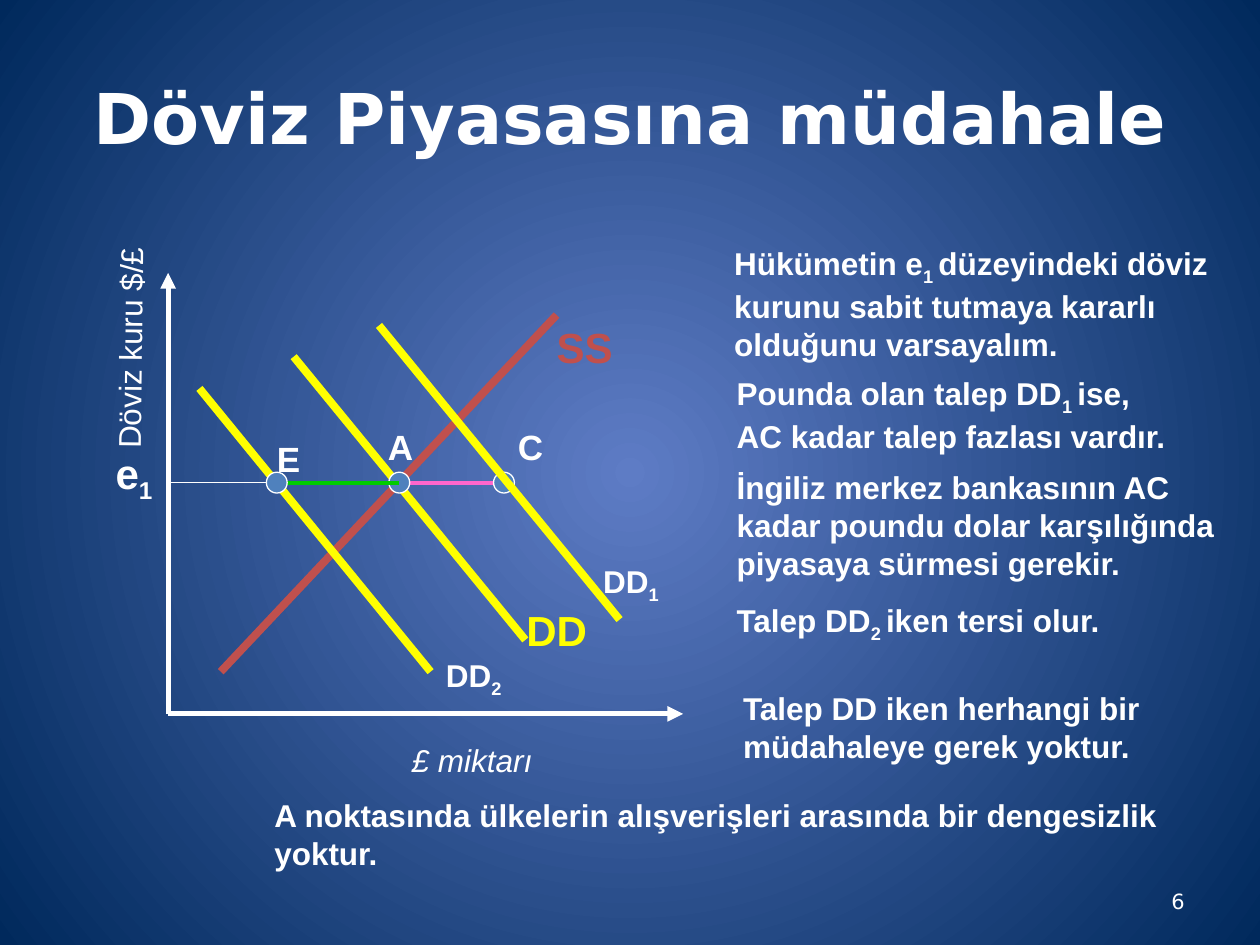
from collections import namedtuple
from dataclasses import dataclass

from lxml import etree
from pptx import Presentation
from pptx.dml.color import RGBColor
from pptx.enum.shapes import MSO_CONNECTOR, MSO_SHAPE
from pptx.enum.text import MSO_ANCHOR, MSO_AUTO_SIZE, PP_ALIGN
from pptx.oxml.ns import qn
from pptx.util import Cm, Pt

STRAIGHT = MSO_CONNECTOR.STRAIGHT
OVAL = MSO_SHAPE.OVAL
MIDDLE = MSO_ANCHOR.MIDDLE
FIT_SHAPE = MSO_AUTO_SIZE.SHAPE_TO_FIT_TEXT
NO_FIT = MSO_AUTO_SIZE.NONE
LEFT, CENTER, RIGHT = PP_ALIGN.LEFT, PP_ALIGN.CENTER, PP_ALIGN.RIGHT

Box = namedtuple("Box", "x y w h")


@dataclass(frozen=True)
class Theme:
    white: str = "FFFFFF"
    glow: str = "5E7CC5"
    navy: str = "00295C"
    demand: str = "FFFF00"
    supply: str = "C0504D"
    excess: str = "FF66CC"
    shortage: str = "00CC00"
    point: str = "4F81BD"
    heading_font: str = "DejaVu Sans"
    body_font: str = "Arial"
    title: int = 40
    curve: int = 24
    letter: int = 20
    body: int = 18
    number: int = 12
    axis_line: float = 3
    curve_line: float = 4.5
    gap_line: float = 2.25
    thin_line: float = 0.75


T = Theme()


def rgb(value):
    return RGBColor.from_string(value)


def inside(box, x, y, w, h):
    return Box(box.x + x, box.y + y, w, h)


def add_run(p, text, size, color=T.white, font=T.body_font, bold=True, italic=False):
    r = p.add_run()
    r.text = text
    r.font.size = Pt(size)
    r.font.name = font
    r.font.bold = bold
    r.font.italic = italic
    r.font.color.rgb = rgb(color)
    return r


def add_text(s, box, lines, size=T.body, **style):
    sp = s.shapes.add_textbox(*map(Cm, box))
    tf = sp.text_frame
    tf.word_wrap = False
    tf.auto_size = FIT_SHAPE
    for i, line in enumerate(lines):
        p = tf.paragraphs[0] if i == 0 else tf.add_paragraph()
        p.alignment = LEFT
        for j, part in enumerate(line.split("|")):
            if part:
                r = add_run(p, part, size, **style)
                if j % 2:
                    r.font._element.set("baseline", "-25000")
    return sp


def add_line(s, box, start, end, color, width, arrow=False):
    (x1, y1), (x2, y2) = start, end
    line = s.shapes.add_connector(
        STRAIGHT, Cm(box.x + x1), Cm(box.y + y1), Cm(box.x + x2), Cm(box.y + y2))
    line.line.color.rgb = rgb(color)
    line.line.width = Pt(width)
    if arrow:
        etree.SubElement(line.line._get_or_add_ln(), qn("a:tailEnd"), type="triangle")
    etree.SubElement(line._element.spPr, qn("a:effectLst"))


def add_point(s, box, x, y, d=0.42):
    sp = s.shapes.add_shape(OVAL, *map(Cm, inside(box, x - d / 2, y - d / 2, d, d)))
    sp.shadow.inherit = False
    sp.fill.solid()
    sp.fill.fore_color.rgb = rgb(T.point)
    sp.line.color.rgb = rgb(T.white)
    sp.line.width = Pt(T.thin_line)


def paint_background(s):
    fill = s.background.fill
    fill.gradient()
    for stop, color, position in zip(fill.gradient_stops, (T.glow, T.navy), (0, 1)):
        stop.color.rgb = rgb(color)
        stop.position = position
    grad = s.background._cSld.find(".//" + qn("a:gradFill"))
    grad.remove(grad.find(qn("a:lin")))
    circle = etree.SubElement(grad, qn("a:path"), path="circle")
    etree.SubElement(circle, qn("a:fillToRect"), dict.fromkeys("ltrb", "50000"))


def place_title(s, box):
    sp = s.shapes.title
    sp.left, sp.top, sp.width, sp.height = map(Cm, box)
    tf = sp.text_frame
    tf.vertical_anchor = MIDDLE
    tf.auto_size = NO_FIT
    p = tf.paragraphs[0]
    p.alignment = CENTER
    add_run(p, "Döviz Piyasasına müdahale", T.title, font=T.heading_font)


def draw_diagram(s, box):
    level, e, a, c = 4.23, 2.19, 4.66, 6.77
    origin = (0, box.h)
    add_line(s, box, origin, (box.w, box.h), T.white, T.axis_line, arrow=True)
    add_line(s, box, origin, (0, 0), T.white, T.axis_line, arrow=True)
    add_line(s, box, (2.53, 1.69), (7.2, 7.4), T.demand, T.curve_line)
    add_line(s, box, (1.06, 8.04), (7.83, 0.85), T.supply, T.curve_line)
    add_line(s, box, (a, level), (0, level), T.white, T.thin_line)
    add_line(s, box, (a, level), (c, level), T.excess, T.gap_line)
    for x in (a, c):
        add_point(s, box, x, level)
    add_line(s, box, (4.25, 1.06), (9.1, 6.99), T.demand, T.curve_line)
    add_line(s, box, (e, level), (a, level), T.shortage, T.gap_line)
    add_line(s, box, (0.63, 2.33), (5.29, 8.04), T.demand, T.curve_line)
    add_point(s, box, e, level)

    add_text(s, inside(box, 4.66, 9.31, 2.95, 1.02), ["£ miktarı"],
             bold=False, italic=True)
    rate = add_text(s, inside(box, -3.06, 1, 4.57, 1.02), ["Döviz kuru $/£"], bold=False)
    rate.rotation = 270.7

    labels = [
        ("SS", 7.58, 0.85, 1.65, 1.27, T.curve, T.supply),
        ("DD", 6.97, 6.57, 1.73, 1.27, T.curve, T.demand),
        ("e|1", -1.31, 3.39, 1.3, 1.27, T.curve, T.white),
        ("DD|1", 8.52, 5.7, 1.65, 1.02, T.body, T.white),
        ("DD|2", 5.35, 7.61, 1.65, 1.02, T.body, T.white),
        ("A", 4.18, 2.96, 1.02, 1.09, T.letter, T.white),
        ("C", 6.8, 2.96, 1.02, 1.09, T.letter, T.white),
        ("E", 1.94, 3.19, 1, 1.09, T.letter, T.white),
    ]
    for text, x, y, w, h, size, color in labels:
        add_text(s, inside(box, x, y, w, h), [text], size, color=color)


def write_notes(s, box):
    notes = [
        (0, 0, 10.29, 2.54, ["Hükümetin e|1 |düzeyindeki döviz",
                             "kurunu sabit tutmaya kararlı",
                             "olduğunu varsayalım."]),
        (0.05, 2.62, 9.19, 1.78, ["Pounda olan talep DD|1 |ise,",
                                  "AC kadar talep fazlası vardır."]),
        (0.05, 4.52, 10.31, 2.54, ["İngiliz merkez bankasının AC",
                                   "kadar poundu dolar karşılığında",
                                   "piyasaya sürmesi gerekir."]),
        (0.05, 7.19, 7.95, 1.02, ["Talep DD|2 |iken tersi olur."]),
        (0.18, 8.97, 8.74, 1.78, ["Talep DD iken herhangi bir",
                                  "müdahaleye gerek yoktur."]),
    ]
    for x, y, w, h, lines in notes:
        add_text(s, inside(box, x, y, w, h), lines)


def write_conclusion(s, box):
    add_text(s, box, ["A noktasında ülkelerin alışverişleri arasında bir dengesizlik",
                      "yoktur."])


def place_number(s, box):
    tf = s.shapes.add_textbox(*map(Cm, box)).text_frame
    tf.word_wrap = True
    tf.vertical_anchor = MIDDLE
    p = tf.paragraphs[0]
    p.alignment = RIGHT
    add_run(p, "6", T.number, font=T.heading_font, bold=False)


def main():
    prs = Presentation()
    prs.slide_width, prs.slide_height = Cm(25.4), Cm(19.05)
    s = prs.slides.add_slide(prs.slide_layouts[5])
    paint_background(s)
    place_title(s, Box(1.27, 0.76, 22.86, 3.18))
    draw_diagram(s, Box(3.39, 5.5, 10.38, 8.89))
    write_notes(s, Box(14.55, 4.8, 10.36, 10.75))
    write_conclusion(s, Box(5.28, 15.93, 18.49, 1.78))
    place_number(s, Box(18.21, 17.65, 5.92, 1.02))
    prs.save("out.pptx")


if __name__ == "__main__":
    main()
